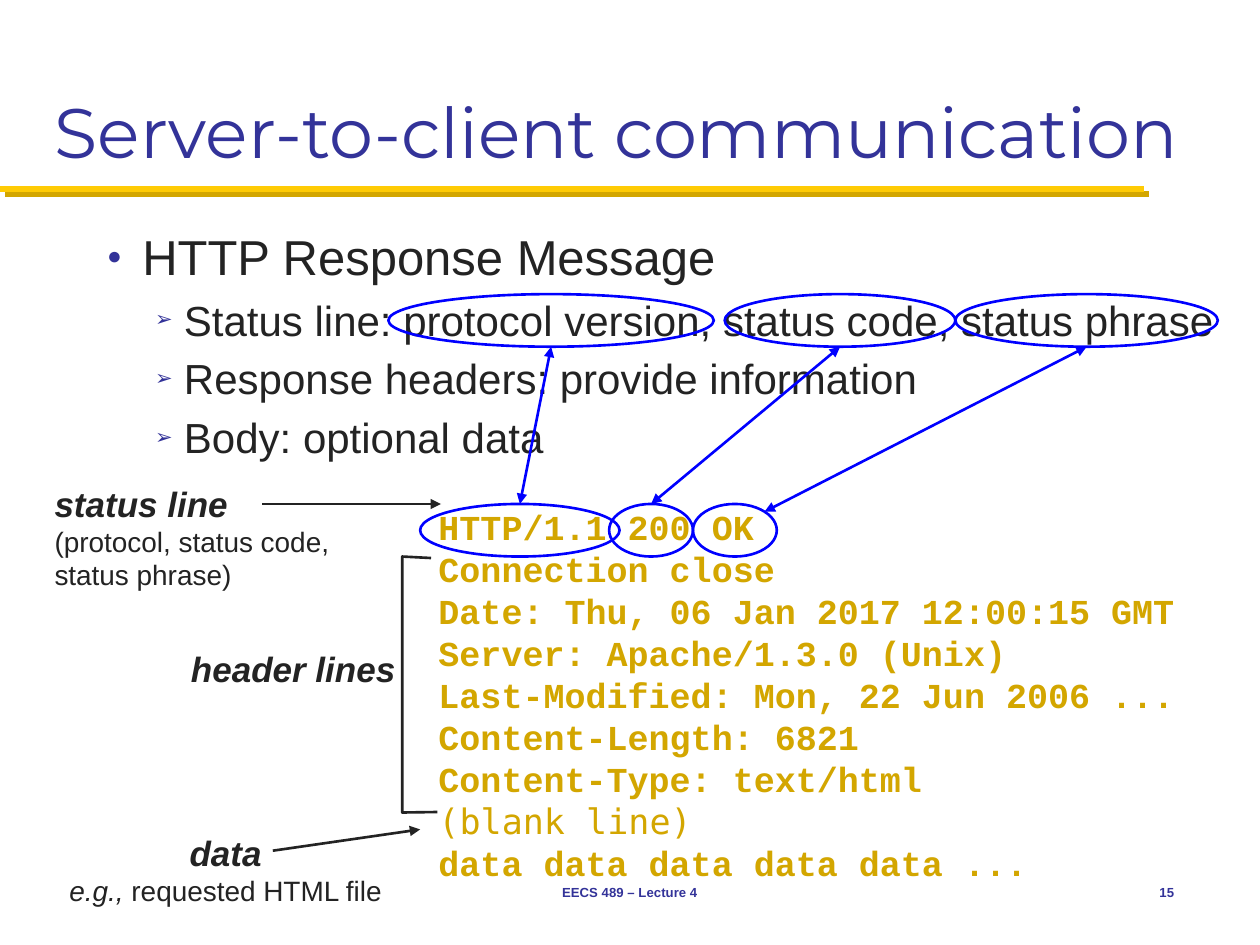
from math import cos, radians, sin
from lxml.etree import SubElement
from pptx import Presentation
from pptx.dml.color import RGBColor
from pptx.enum.shapes import MSO_CONNECTOR, MSO_SHAPE
from pptx.enum.text import MSO_ANCHOR, PP_ALIGN
from pptx.oxml.ns import qn
from pptx.util import Cm, Pt

COLORS = {"navy": "333399", "ink": "232323", "gold": "D3A600",
          "maize": "FFCB05", "blue": "0000FF"}
TITLE = "Server-to-client communication"
OUTLINE = [
    (0, "HTTP Response Message"),
    (1, "Status line: protocol version, status code, status phrase"),
    (1, "Response headers: provide information"),
    (1, "Body: optional data"),
]
LEVELS = [
    {"bullet": "●", "size": 28, "margin": 0.71, "hang": 0.71},
    {"bullet": "➢", "size": 24, "margin": 1.55, "hang": 0.58},
]
BLANK_LINE = "(blank line)"
RESPONSE = [
    "HTTP/1.1 200 OK",
    "Connection close",
    "Date: Thu, 06 Jan 2017 12:00:15 GMT",
    "Server: Apache/1.3.0 (Unix)",
    "Last-Modified: Mon, 22 Jun 2006 ...",
    "Content-Length: 6821",
    "Content-Type: text/html",
    BLANK_LINE,
    "data data data data data ...",
]
HEADING = (20, True, True)
PLAIN = (16, False, False)
ITALIC = (16, False, True)
LABELS = [
    ((0.85, 9.6, 6.15, 2.49), PP_ALIGN.LEFT,
     [[("status line", HEADING)], [("(protocol, status code, status phrase)", PLAIN)]]),
    ((3.6, 12.93, 5.51, 1.12), PP_ALIGN.LEFT, [[("header lines", HEADING)]]),
    ((0.64, 16.64, 7.82, 1.8), PP_ALIGN.CENTER,
     [[("data", HEADING)], [("e.g.,", ITALIC), (" requested HTML file", PLAIN)]]),
]
LABEL_ARROWS = [((5.29, 10.16), (8.89, 10.16)), ((5.5, 17.15), (8.47, 16.72))]
HEADER_BRACKET = [(8.69, 11.25), (8.11, 11.22), (8.11, 16.38), (8.82, 16.37)]
TERM_TOP, VALUE_TOP, OVAL_HEIGHT = 5.93, 10.16, 1.06
TERM_MATCHES = [
    ((7.83, 6.56), (8.47, 4.02), 90),
    ((14.61, 4.65), (12.28, 1.69), 90),
    ((19.26, 5.29), (13.97, 1.69), 45),
]
FOOTERS = [
    ((8.67, 17.35, 8.05, 1.27), PP_ALIGN.CENTER, "EECS 489 – Lecture 4"),
    ((22.22, 17.35, 1.7, 1.27), PP_ALIGN.RIGHT, "15"),
]


def rgb(color):
    return RGBColor.from_string(COLORS[color])


def style(font, name, size, color, bold=False, italic=False):
    font.name, font.size, font.bold, font.italic = name, Pt(size), bold, italic
    font.color.rgb = rgb(color)


def add_text(slide, box):
    frame = slide.shapes.add_textbox(*map(Cm, box)).text_frame
    frame.word_wrap = True
    return frame


def add_line(slide, start, end, color, width, heads=()):
    line = slide.shapes.add_connector(
        MSO_CONNECTOR.STRAIGHT, *map(Cm, (*start, *end)))
    line.line.color.rgb = rgb(color)
    line.line.width = Pt(width)
    outline = line.line._get_or_add_ln()
    for head in heads:
        SubElement(outline, qn(f"a:{head}"), type="triangle")
    return SubElement(line._element.spPr, qn("a:effectLst"))


def add_oval(slide, left, top, width):
    oval = slide.shapes.add_shape(
        MSO_SHAPE.OVAL, *map(Cm, (left, top, width, OVAL_HEIGHT)))
    oval.shadow.inherit = False
    oval.fill.background()
    oval.line.color.rgb = rgb("blue")
    oval.line.width = Pt(1.5)


def add_title(slide):
    effects = add_line(slide, (0, 3.81), (23.06, 3.81), "maize", 3.5)
    shadow = SubElement(effects, qn("a:outerShdw"), dist=str(Pt(4.2)),
                        dir="2700000", algn="ctr", rotWithShape="0")
    SubElement(shadow, qn("a:srgbClr"), val=COLORS["gold"])
    title = slide.shapes.title
    title.left, title.top, title.width, title.height = map(Cm, (0.85, 0.43, 23.7, 3.18))
    title.text_frame.text = TITLE
    title.text_frame.vertical_anchor = MSO_ANCHOR.BOTTOM
    paragraph = title.text_frame.paragraphs[0]
    paragraph.alignment = PP_ALIGN.LEFT
    style(paragraph.runs[0].font, "Montserrat", 40, "navy")


def add_outline(slide):
    frame = add_text(slide, (1.91, 4.45, 23.06, 12.27))
    frame.text = "\n".join(text for _, text in OUTLINE)
    for index, (paragraph, (depth, _)) in enumerate(zip(frame.paragraphs, OUTLINE)):
        level = LEVELS[depth]
        paragraph.level = depth
        if index:
            paragraph.space_before = Pt(level["size"] * 0.2)
        properties = paragraph._p.get_or_add_pPr()
        properties.set("marL", str(Cm(level["margin"])))
        properties.set("indent", str(-Cm(level["hang"])))
        bullet_color = SubElement(properties, qn("a:buClr"))
        SubElement(bullet_color, qn("a:srgbClr"), val=COLORS["navy"])
        SubElement(properties, qn("a:buSzPct"), val="50000")
        SubElement(properties, qn("a:buFont"), typeface="Arial")
        SubElement(properties, qn("a:buChar"), char=level["bullet"])
        style(paragraph.runs[0].font, "Arial", level["size"], "ink")


def add_response(slide):
    frame = add_text(slide, (8.59, 10.06, 15.9, 7.95))
    frame.word_wrap = False
    frame.text = "\n".join(RESPONSE)
    for paragraph, text in zip(frame.paragraphs, RESPONSE):
        blank = text == BLANK_LINE
        style(paragraph.runs[0].font, "DejaVu Sans Mono" if blank else "Courier New",
              20, "gold", bold=not blank)


def add_labels(slide):
    for box, alignment, lines in LABELS:
        frame = add_text(slide, box)
        for index, runs in enumerate(lines):
            paragraph = frame.add_paragraph() if index else frame.paragraphs[0]
            paragraph.alignment = alignment
            for text, (size, bold, italic) in runs:
                run = paragraph.add_run()
                run.text = text
                style(run.font, "Arial", size, "ink", bold, italic)
    for start, end in LABEL_ARROWS:
        add_line(slide, start, end, "ink", 1.5, ["tailEnd"])
    first, *rest = [tuple(map(Cm, point)) for point in HEADER_BRACKET]
    builder = slide.shapes.build_freeform(*first)
    builder.add_line_segments(rest, close=False)
    bracket = builder.convert_to_shape()
    bracket.shadow.inherit = False
    bracket.fill.background()
    bracket.line.color.rgb = rgb("ink")
    bracket.line.width = Pt(1.5)


def add_matches(slide):
    for (term_left, term_width), (value_left, value_width), angle in TERM_MATCHES:
        add_oval(slide, term_left, TERM_TOP, term_width)
        add_oval(slide, value_left, VALUE_TOP, value_width)
        start = term_left + term_width / 2, TERM_TOP + OVAL_HEIGHT
        end = (value_left + value_width / 2 * (1 + cos(radians(angle))),
               VALUE_TOP + OVAL_HEIGHT / 2 * (1 - sin(radians(angle))))
        add_line(slide, start, end, "blue", 1.5, ["headEnd", "tailEnd"])


def add_footers(slide):
    for box, alignment, text in FOOTERS:
        frame = add_text(slide, box)
        frame.vertical_anchor = MSO_ANCHOR.MIDDLE
        frame.text = text
        frame.paragraphs[0].alignment = alignment
        style(frame.paragraphs[0].runs[0].font, "Arial", 7.5, "navy", bold=True)


def main():
    deck = Presentation()
    deck.slide_width, deck.slide_height = Cm(25.4), Cm(19.05)
    slide = deck.slides.add_slide(deck.slide_layouts[5])
    for add_part in (add_title, add_outline, add_response, add_labels,
                     add_matches, add_footers):
        add_part(slide)
    deck.save("out.pptx")


if __name__ == "__main__":
    main()
